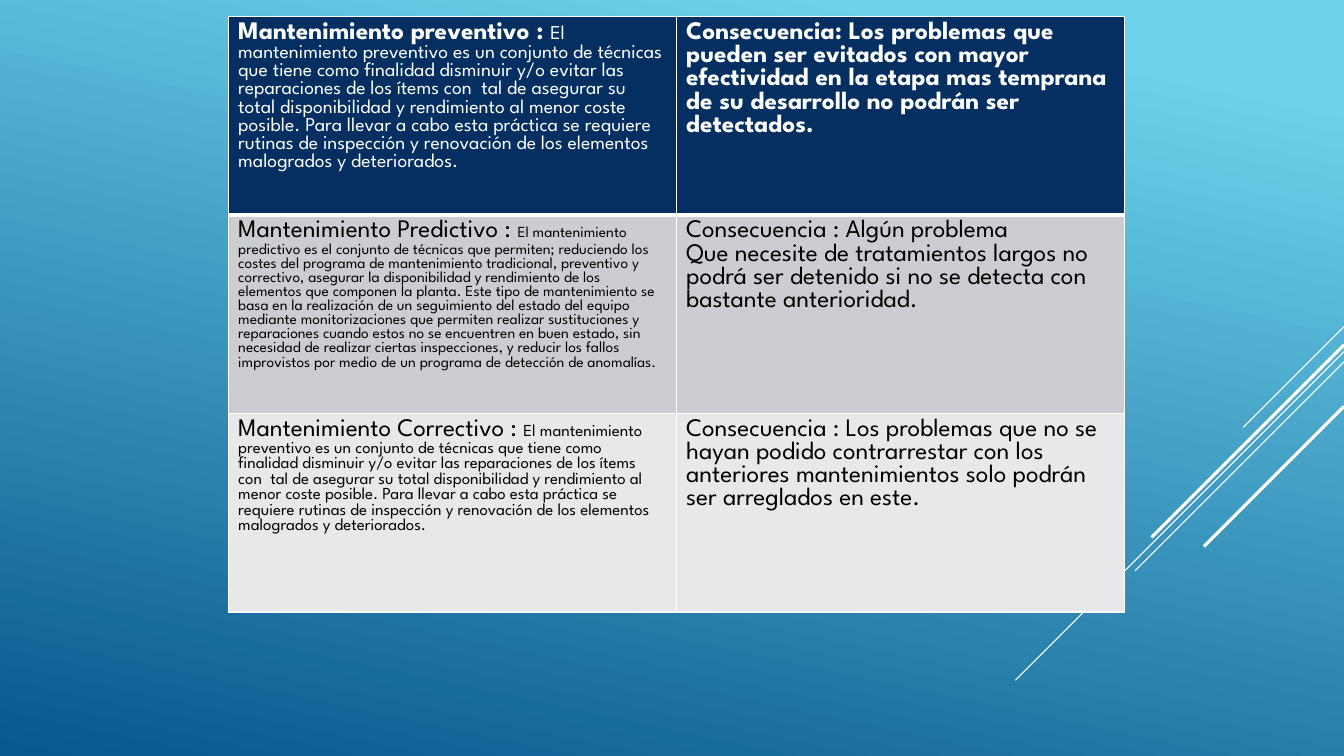
"""Builds a slide with a table of maintenance types and their consequences."""
from lxml import etree
from pptx import Presentation
from pptx.dml.color import RGBColor
from pptx.enum.shapes import MSO_CONNECTOR
from pptx.oxml.ns import qn
from pptx.util import Cm, Pt

STRAIGHT = MSO_CONNECTOR.STRAIGHT
FONT = "League Spartan"
WHITE = "FFFFFF"


def rgb(value):
    return RGBColor.from_string(value)


def add_border(cell, side, width):
    ln = etree.SubElement(cell._tc.get_or_add_tcPr(), qn("a:" + side), w=str(Pt(width)))
    fill = etree.SubElement(ln, qn("a:solidFill"))
    etree.SubElement(fill, qn("a:srgbClr"), val=WHITE)


prs = Presentation()
prs.slide_width, prs.slide_height = Cm(33.87), Cm(19.05)
s = prs.slides.add_slide(prs.slide_layouts[6])

bg = s.background.fill
bg.gradient()
bg.gradient_angle = 258
for stop, (position, color) in zip(bg.gradient_stops, [(0.1, "6ED2EB"), (1, "06588E")]):
    stop.position = position
    stop.color.rgb = rgb(color)

diagonals = [
    (8.23, 2.54, 0.75),
    (8.86, 8.28, 0.75),
    (9.12, 5.27, 0.75),
    (8.69, 4.85, 2.25),
    (10.24, 3.53, 2.25),
]
for top, run, width in diagonals:
    line = s.shapes.add_connector(STRAIGHT, Cm(33.87), Cm(top), Cm(33.87 - run), Cm(top + run))
    line.line.color.rgb = rgb(WHITE)
    line.line.width = Pt(width)
    etree.SubElement(line._element.spPr, qn("a:effectLst"))

preventive = (
    "El mantenimiento preventivo es un conjunto de técnicas que tiene como finalidad "
    "disminuir y/o evitar las reparaciones de los ítems con\u00a0 tal de asegurar su total "
    "disponibilidad y rendimiento al menor coste posible. Para llevar a cabo esta práctica "
    "se requiere rutinas de inspección y renovación de los elementos malogrados y deteriorados."
)
predictive = (
    "El mantenimiento predictivo es el conjunto de técnicas que permiten; reduciendo los "
    "costes del programa de mantenimiento tradicional, preventivo y correctivo, asegurar la "
    "disponibilidad y rendimiento de los elementos que componen la planta. Este tipo de "
    "mantenimiento se basa en la realización de un seguimiento del estado del equipo mediante "
    "monitorizaciones que permiten realizar sustituciones y reparaciones cuando estos no se "
    "encuentren en buen estado, sin necesidad de realizar ciertas inspecciones, y reducir los "
    "fallos improvistos por medio de un programa de detección de anomalías."
)
rows = [
    ("052F61", WHITE, True, "Mantenimiento preventivo : ", preventive, 14, [
        "Consecuencia: Los problemas que pueden ser evitados con mayor efectividad en la "
        "etapa mas temprana de su desarrollo no podrán ser detectados."]),
    ("CCCDD2", "000000", False, "Mantenimiento Predictivo : ", predictive, 11, [
        "Consecuencia : Algún problema",
        "Que necesite de tratamientos largos no podrá ser detenido si no se detecta con "
        "bastante anterioridad."]),
    ("E7E8EA", "000000", False, "Mantenimiento Correctivo : ", preventive, 12, [
        "Consecuencia : Los problemas que no se hayan podido contrarrestar con los "
        "anteriores mantenimientos solo podrán ser arreglados en este."]),
]

table = s.shapes.add_table(len(rows), 2, Cm(5.75), Cm(0.42), Cm(22.58), Cm(15)).table
for i, (fill, color, bold, heading, body, body_size, consequence) in enumerate(rows):
    table.rows[i].height = Cm(5)
    left = [[(heading, 18, bold), (body, body_size, False)]]
    right = [[(text, 18, bold)] for text in consequence]
    for j, paragraphs in enumerate([left, right]):
        cell = table.cell(i, j)
        for side in ("lnL", "lnR", "lnT", "lnB"):
            thick = (i, side) in [(0, "lnB"), (1, "lnT")]
            add_border(cell, side, 3 if thick else 1)
        cell.fill.solid()
        cell.fill.fore_color.rgb = rgb(fill)
        tf = cell.text_frame
        for k, runs in enumerate(paragraphs):
            p = tf.add_paragraph() if k else tf.paragraphs[0]
            for text, size, is_bold in runs:
                r = p.add_run()
                r.text = text
                r.font.name = FONT
                r.font.size = Pt(size)
                r.font.bold = is_bold
                r.font.color.rgb = rgb(color)

prs.save("out.pptx")
